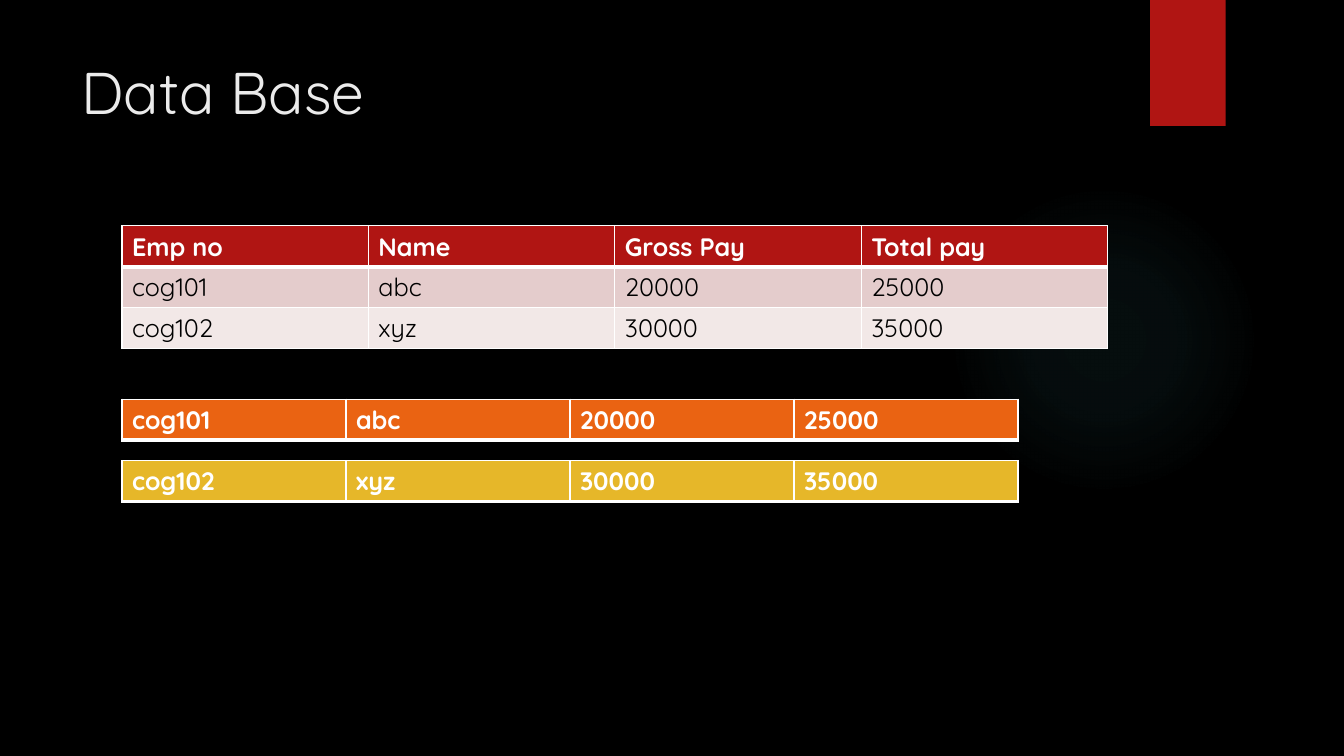
from dataclasses import dataclass

from lxml import etree
from pptx import Presentation
from pptx import util as u
from pptx.dml.color import RGBColor
from pptx.enum import shapes, text
from pptx.oxml import parse_xml
from pptx.oxml import ns

COLS, ROWS = 160, 90
UNIT = u.Inches(7.5) / ROWS
LEFT = 14.52
ROW_H = 4.87


@dataclass(frozen=True)
class Theme:
    font: str = "Quicksand"
    title_size: int = 42
    cell_size: int = 18
    back: str = "000000"
    title: str = "EBEBEB"
    light: str = "FFFFFF"
    dark: str = "000000"
    red: str = "B01513"
    rose: str = "E4CCCC"
    pale: str = "F2E8E7"
    orange: str = "EA6312"
    gold: str = "E6B729"
    glow: str = "50B9C1"


THEME = Theme()


def grid(*cells):
    return [u.Emu(round(c * UNIT)) for c in cells]


def rgb(color):
    return RGBColor.from_string(color)


def paint(fill, color):
    fill.solid()
    fill.fore_color.rgb = rgb(color)


def write(tf, words, size, color, bold=False):
    r = tf.paragraphs[0].add_run()
    r.text = words
    formats = {"name": THEME.font, "size": u.Pt(size), "bold": bold}
    for name, value in formats.items():
        setattr(r.font, name, value)
    r.font.color.rgb = rgb(color)


def add_plain(s, kind, box):
    sp = s.shapes.add_shape(kind, *grid(*box))
    sp.shadow.inherit = False
    sp.line.fill.background()
    return sp


def add_glow(s, box, stops):
    sp = add_plain(s, shapes.MSO_SHAPE.OVAL, box)
    sp.fill.background()
    marks = "".join(
        f'<a:gs pos="{pos * 1000}"><a:srgbClr val="{THEME.glow}">'
        f'<a:alpha val="{alpha * 1000}"/></a:srgbClr></a:gs>'
        for pos, alpha in stops)
    gradient = parse_xml(
        f'<a:gradFill {ns.nsdecls("a")} rotWithShape="1"><a:gsLst>{marks}</a:gsLst>'
        '<a:path path="circle"><a:fillToRect l="50000" t="50000" r="50000" b="50000"/>'
        '</a:path></a:gradFill>')
    props = sp.fill._xPr
    props.replace(props.find(ns.qn("a:noFill")), gradient)


def add_title(s, words, box):
    tf = s.shapes.add_textbox(*grid(*box)).text_frame
    formats = {"word_wrap": True, "vertical_anchor": text.MSO_ANCHOR.TOP}
    for name, value in formats.items():
        setattr(tf, name, value)
    write(tf, words, THEME.title_size, THEME.title)


def add_borders(cell, top, bottom):
    props = cell._tc.get_or_add_tcPr()
    for side, width in {"L": 1, "R": 1, "T": top, "B": bottom}.items():
        ln = etree.SubElement(props, ns.qn(f"a:ln{side}"), w=str(u.Pt(width)))
        solid = etree.SubElement(ln, ns.qn("a:solidFill"))
        etree.SubElement(solid, ns.qn("a:srgbClr"), val=THEME.light)


def add_records(s, top, col_w, records, fills):
    count = len(records[0])
    box = grid(LEFT, top, col_w * count, ROW_H * len(records))
    table = s.shapes.add_table(len(records), count, *box).table
    for name in ("first_row", "horz_banding"):
        setattr(table, name, False)
    for i, (record, color) in enumerate(zip(records, fills)):
        head = i == 0
        for j, words in enumerate(record):
            cell = table.cell(i, j)
            add_borders(cell, 3 if i == 1 else 1, 3 if head else 1)
            paint(cell.fill, color)
            write(cell.text_frame, words, THEME.cell_size,
                  THEME.light if head else THEME.dark, head)


def main():
    prs = Presentation()
    prs.slide_width, prs.slide_height = grid(COLS, ROWS)
    s = prs.slides.add_slide(prs.slide_layouts[6])
    paint(s.background.fill, THEME.back)

    add_glow(s, (112.92, 21.96, 36.96, 36.96), [(0, 7), (36, 6), (69, 0)])
    ribbon = add_plain(s, shapes.MSO_SHAPE.RECTANGLE, (136.92, 0, 9, 15))
    paint(ribbon.fill, THEME.red)
    add_title(s, "Data Base", (8.52, 6, 123.48, 18.36))

    header = ["Emp no", "Name", "Gross Pay", "Total pay"]
    first = ["cog101", "abc", "20000", "25000"]
    second = ["cog102", "xyz", "30000", "35000"]
    add_records(s, 26.88, 29.34, [header, first, second],
                [THEME.red, THEME.rose, THEME.pale])
    add_records(s, 47.52, 26.67, [first], [THEME.orange])
    add_records(s, 54.84, 26.67, [second], [THEME.gold])
    prs.save("out.pptx")


if __name__ == "__main__":
    main()
